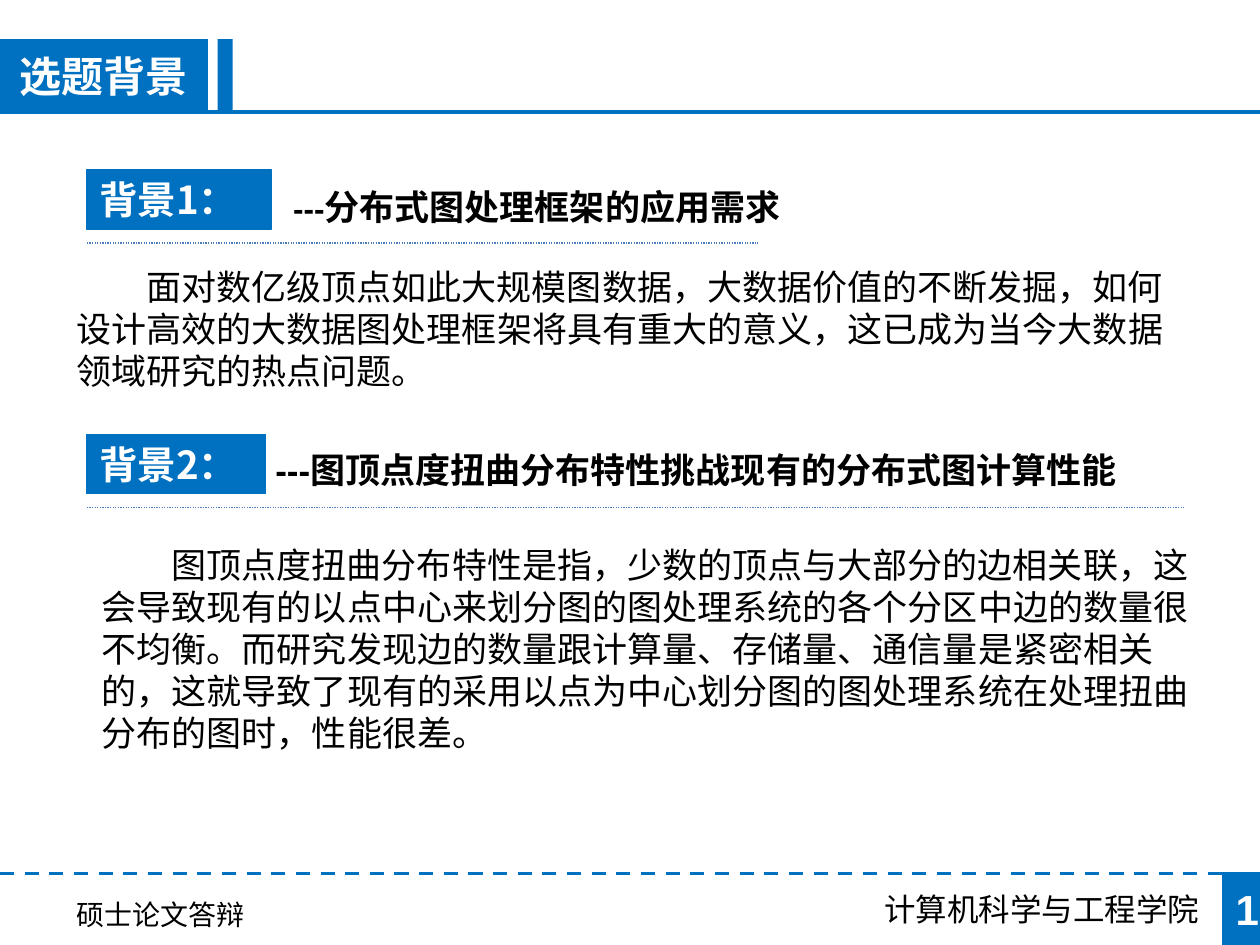
from dataclasses import dataclass

from lxml.etree import SubElement
from pptx import Presentation
from pptx.dml.color import RGBColor
from pptx.enum.dml import MSO_LINE as Dash
from pptx.enum.shapes import MSO_CONNECTOR as Link, MSO_SHAPE as Shape
from pptx.enum.text import MSO_ANCHOR as Anchor, PP_ALIGN as Align
from pptx.oxml.ns import qn
from pptx.util import Cm, Pt


@dataclass(frozen=True)
class Theme:
    """Colours, fonts and type sizes of the deck."""
    blue: str = "0070C0"
    dots: str = "4B7EBC"
    white: str = "FFFFFF"
    black: str = "000000"
    head: str = "Arial"
    body: str = "Calibri"
    tag: str = "Noto Sans CJK SC"
    school: str = "Noto Sans CJK JP"
    big: int = 24
    label: int = 22
    main: int = 20
    mid: int = 18
    small: int = 16


T = Theme()
WIDE, HIGH = 25.4, 19.05


def write(shape, text, size=T.main, font=T.body, color=T.black, bold=False,
          align=Align.LEFT, anchor=Anchor.TOP, left=0.25, indent=0):
    """Append a formatted run to the shape's paragraph."""
    frame = shape.text_frame
    frame.word_wrap = True
    frame.vertical_anchor = anchor
    frame.margin_left, frame.margin_right = Cm(left), 0
    para = frame.paragraphs[0]
    para.alignment = align
    props = para._p.get_or_add_pPr()
    props.set("indent", str(Cm(indent)))
    props.set("hangingPunct", "0")
    run = para.add_run()
    run.text = text
    run.font.size, run.font.bold, run.font.name = Pt(size), bold, font
    run.font.color.rgb = RGBColor.from_string(color)
    SubElement(run._r.get_or_add_rPr(), qn("a:ea")).set("typeface", font)


def area(slide, x, y, w, h):
    """Add an empty text box."""
    return slide.shapes.add_textbox(Cm(x), Cm(y), Cm(w), Cm(h))


def block(slide, x, y, w, h, edge=False):
    """Add a blue rectangle."""
    rect = slide.shapes.add_shape(Shape.RECTANGLE, Cm(x), Cm(y), Cm(w), Cm(h))
    rect.shadow.inherit = False
    rect.fill.solid()
    rect.fill.fore_color.rgb = RGBColor.from_string(T.blue)
    if edge:
        rect.line.color.rgb = RGBColor.from_string(T.blue)
        rect.line.width = Pt(0.75)
    else:
        rect.line.fill.background()
    return rect


def rule(slide, x, y, w, color=T.blue, weight=2, dash=None):
    """Draw a horizontal line."""
    line = slide.shapes.add_connector(Link.STRAIGHT, Cm(x), Cm(y), Cm(x + w), Cm(y))
    line.line.color.rgb = RGBColor.from_string(color)
    line.line.width = Pt(weight)
    if dash:
        line.line.dash_style = dash
    SubElement(line._element.spPr, qn("a:effectLst"))


def header(slide, x, y, w, h, title):
    """Place the title tab, its accent bar and the line below."""
    tab = block(slide, x, y, 4.19, h)
    write(tab, title, T.big, T.head, T.white, True, Align.CENTER, Anchor.MIDDLE, left=0)
    block(slide, x + 4.39, y, 0.3, h)
    rule(slide, x, y + h, w)


def section(slide, x, y, w, tag, tab, lead, lead_at, body, body_at, body_h):
    """Place a tagged heading, its dotted line and its paragraph."""
    label = block(slide, x, y, tab, 1.19, edge=True)
    write(label, tag, T.label, T.tag, T.white, True)
    dx, dy = lead_at
    line = area(slide, x + dx, y + dy, 18.3, 1.12)
    for text, size, font in lead:
        write(line, text, size, font, bold=True)
    rule(slide, x, y + 1.47, w, T.dots, 0.75, Dash.ROUND_DOT)
    dx, dy = body_at
    write(area(slide, x + dx, y + dy, 22.2, body_h), body, indent=1.41)


def footer(slide, x, y, w, h, event, school, page):
    """Place the dashed line, the two captions and the page number."""
    rule(slide, x, y + 0.03, w, dash=Dash.DASH)
    write(area(slide, x + 17.58, y + 0.23, 6.93, 1.02), school, T.mid, T.school)
    write(area(slide, x + 1.3, y + 0.38, 3.94, 0.94), event, T.small, T.tag)
    num = block(slide, x + w - 0.76, y, 0.76, h)
    write(num, page, T.big, T.head, T.white, True, Align.CENTER, Anchor.MIDDLE)


def main():
    """Build the slide and save it."""
    deck = Presentation()
    deck.slide_width, deck.slide_height = Cm(WIDE), Cm(HIGH)
    slide = deck.slides.add_slide(deck.slide_layouts[6])
    footer(slide, 0, 17.58, WIDE, 1.47, "硕士论文答辩", "计算机科学与工程学院", "1")
    header(slide, 0, 0.79, WIDE, 1.47, "选题背景")
    section(slide, 1.75, 3.43, 13.54, "背景1：", 3.73,
            [("---", T.mid, T.head), ("分布式图处理框架的应用需求", T.main, T.body)],
            (3.91, 0.18),
            "面对数亿级顶点如此大规模图数据，大数据价值的不断发掘，如何设计高效的"
            "大数据图处理框架将具有重大的意义，这已成为当今大数据领域研究的热点问题。",
            (-0.46, 1.8), 2.82)
    section(slide, 1.75, 8.76, 22.15, "背景2：", 3.6,
            [("---图顶点度扭曲分布特性挑战现有的分布式图计算性能", T.main, T.head)],
            (3.55, 0.15),
            "图顶点度扭曲分布特性是指，少数的顶点与大部分的边相关联，这会导致现有的"
            "以点中心来划分图的图处理系统的各个分区中边的数量很不均衡。而研究发现边的"
            "数量跟计算量、存储量、通信量是紧密相关的，这就导致了现有的采用以点为中心"
            "划分图的图处理系统在处理扭曲分布的图时，性能很差。",
            (0.05, 2.08), 4.52)
    deck.save("out.pptx")


if __name__ == "__main__":
    main()
